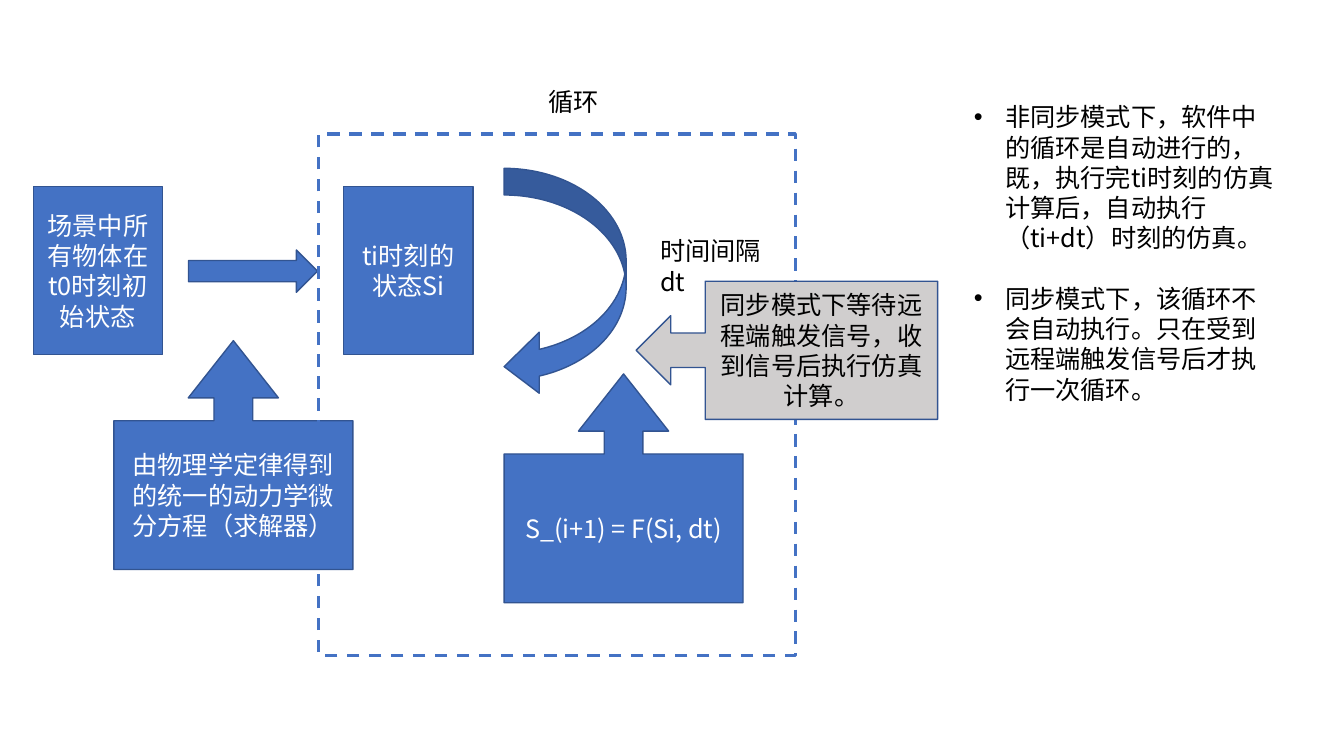
from dataclasses import dataclass

from lxml import etree
from pptx import Presentation
from pptx.dml.color import RGBColor
from pptx.enum.dml import MSO_LINE
from pptx.enum.shapes import MSO_SHAPE
from pptx.enum.text import MSO_ANCHOR, MSO_AUTO_SIZE, PP_ALIGN
from pptx.oxml.ns import qn
from pptx.util import Emu, Pt

RECTANGLE = MSO_SHAPE.RECTANGLE
RIGHT_ARROW = MSO_SHAPE.RIGHT_ARROW
CURVED_ARROW = MSO_SHAPE.CURVED_LEFT_ARROW
UP_CALLOUT = MSO_SHAPE.UP_ARROW_CALLOUT
LEFT_CALLOUT = MSO_SHAPE.LEFT_ARROW_CALLOUT
DASH = MSO_LINE.DASH
MIDDLE, TOP = MSO_ANCHOR.MIDDLE, MSO_ANCHOR.TOP
CENTER, LEFT = PP_ALIGN.CENTER, PP_ALIGN.LEFT
GROW = MSO_AUTO_SIZE.SHAPE_TO_FIT_TEXT

EMU_PER_PX = 9144  # 100 px to the inch


@dataclass(frozen=True)
class Theme:
    font: str = "Noto Sans CJK SC"
    size: float = 18
    bullet_gap: float = 21.6
    outline: float = 1
    frame_line: float = 2.25
    blue: str = "4472C4"
    edge: str = "325491"
    gray: str = "D0CECE"
    white: str = "FFFFFF"
    black: str = "000000"


THEME = Theme()


def px(length):
    return Emu(length * EMU_PER_PX)


def color(value):
    return RGBColor.from_string(value)


def style_paragraph(para, text, text_color, align):
    para.text = text
    para.alignment = align
    font = para.font
    font.size = Pt(THEME.size)
    font.color.rgb = color(text_color)
    font.name = THEME.font
    defaults = para._p.pPr.find(qn("a:defRPr"))
    etree.SubElement(defaults, qn("a:ea"), typeface=THEME.font)


def add_block(page, kind, box, text="", fill=THEME.blue,
              text_color=THEME.white, adjustments=()):
    """A filled, outlined preset shape with centred text."""
    shape = page.shapes.add_shape(kind, *map(px, box))
    shape.shadow.inherit = False
    shape.fill.solid()
    shape.fill.fore_color.rgb = color(fill)
    shape.line.color.rgb = color(THEME.edge)
    shape.line.width = Pt(THEME.outline)
    for index, value in enumerate(adjustments):
        shape.adjustments[index] = value
    if text:
        frame = shape.text_frame
        frame.word_wrap = True
        frame.vertical_anchor = MIDDLE
        style_paragraph(frame.paragraphs[0], text, text_color, CENTER)


def add_loop_frame(page, box):
    frame = page.shapes.add_shape(RECTANGLE, *map(px, box))
    frame.shadow.inherit = False
    frame.fill.background()
    frame.line.color.rgb = color(THEME.blue)
    frame.line.width = Pt(THEME.frame_line)
    frame.line.dash_style = DASH


def add_text_frame(page, box, wrap):
    frame = page.shapes.add_textbox(*map(px, box)).text_frame
    frame.word_wrap = wrap
    frame.auto_size = GROW
    frame.vertical_anchor = TOP
    return frame


def add_label(page, box, text, wrap):
    frame = add_text_frame(page, box, wrap)
    style_paragraph(frame.paragraphs[0], text, THEME.black, LEFT)


def add_bullets(page, box, items):
    frame = add_text_frame(page, box, True)
    indent = px(31)
    for index, item in enumerate(items):
        para = frame.add_paragraph() if index else frame.paragraphs[0]
        properties = para._p.get_or_add_pPr()
        properties.set("marL", str(indent))
        properties.set("indent", str(-indent))
        etree.SubElement(properties, qn("a:buFont"), typeface="Arial")
        etree.SubElement(properties, qn("a:buChar"), char="•")
        if index:
            para.space_before = Pt(THEME.bullet_gap)
        style_paragraph(para, item, THEME.black, LEFT)


def main():
    deck = Presentation()
    deck.slide_width, deck.slide_height = px(1333), px(750)
    page = deck.slides.add_slide(deck.slide_layouts[6])

    # States, with the arrow between them
    state_top, state_width, state_height = 185, 128, 167
    for left, text in ((33, "场景中所有物体在t0时刻初始状态"),
                       (341, "ti时刻的状态Si")):
        add_block(page, RECTANGLE,
                  (left, state_top, state_width, state_height), text)
    add_block(page, RIGHT_ARROW, (187, 248, 128, 42))

    # Loop arrow and the equations that feed it
    add_block(page, CURVED_ARROW, (500, 167, 121, 227),
              adjustments=(0.219, 0.5, 0.288))
    for left, top, text in (
            (113, 338, "由物理学定律得到的统一的动力学微分方程（求解器）"),
            (500, 371, "S_(i+1) = F(Si, dt)")):
        add_block(page, UP_CALLOUT, (left, top, 237, 227), text,
                  adjustments=(0.169, 0.197, 0.25, 0.65))

    # Loop frame and labels
    add_label(page, (645, 229, 144, 40), "时间间隔dt", True)
    add_loop_frame(page, (316, 133, 473, 517))
    add_label(page, (534, 81, 71, 40), "循环", False)

    # Explanation of the two modes
    add_bullets(page, (956, 96, 325, 313), (
        "非同步模式下，软件中的循环是自动进行的，既，执行完ti时刻的仿真计算后，"
        "自动执行（ti+dt）时刻的仿真。",
        "同步模式下，该循环不会自动执行。只在受到远程端触发信号后才执行一次循环。",
    ))

    # Remote trigger
    add_block(page, LEFT_CALLOUT, (631, 279, 299, 137),
              "同步模式下等待远程端触发信号，收到信号后执行仿真计算。",
              THEME.gray, THEME.black, (0.25, 0.25, 0.25, 0.771))

    deck.save("out.pptx")


if __name__ == "__main__":
    main()
